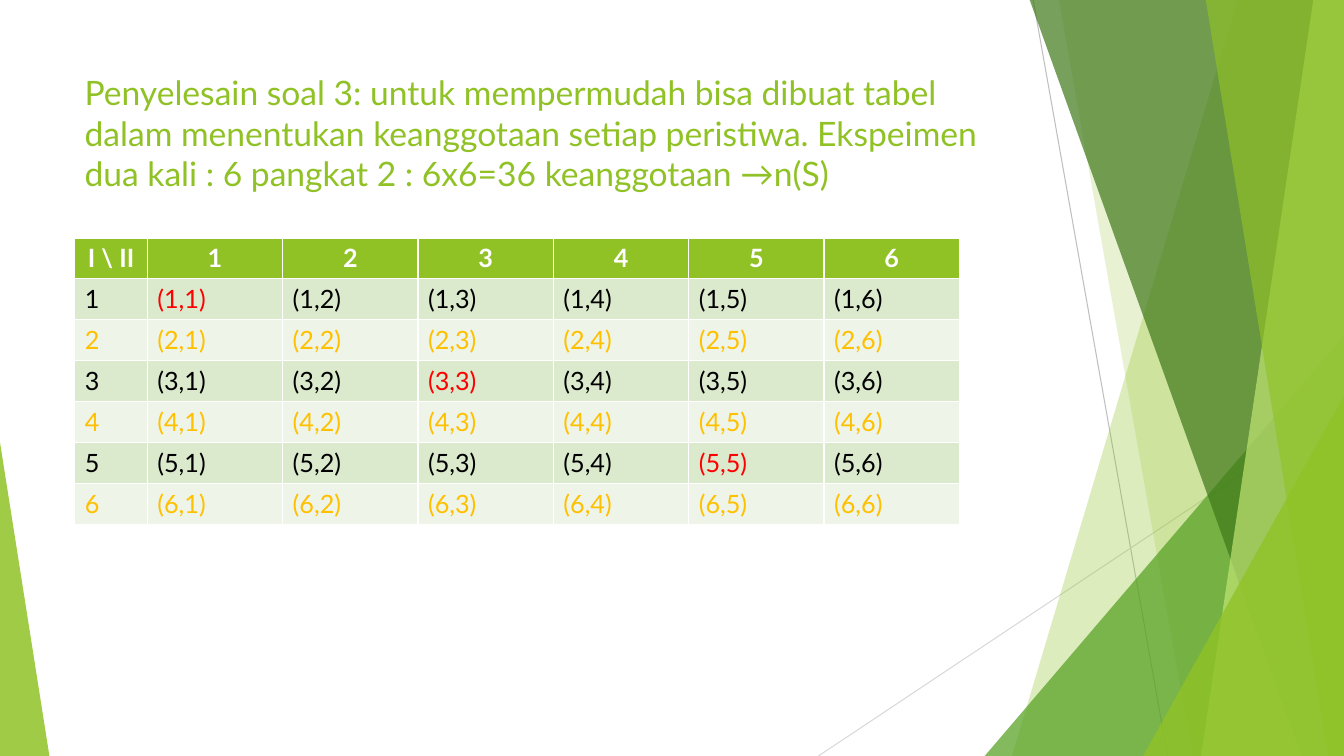
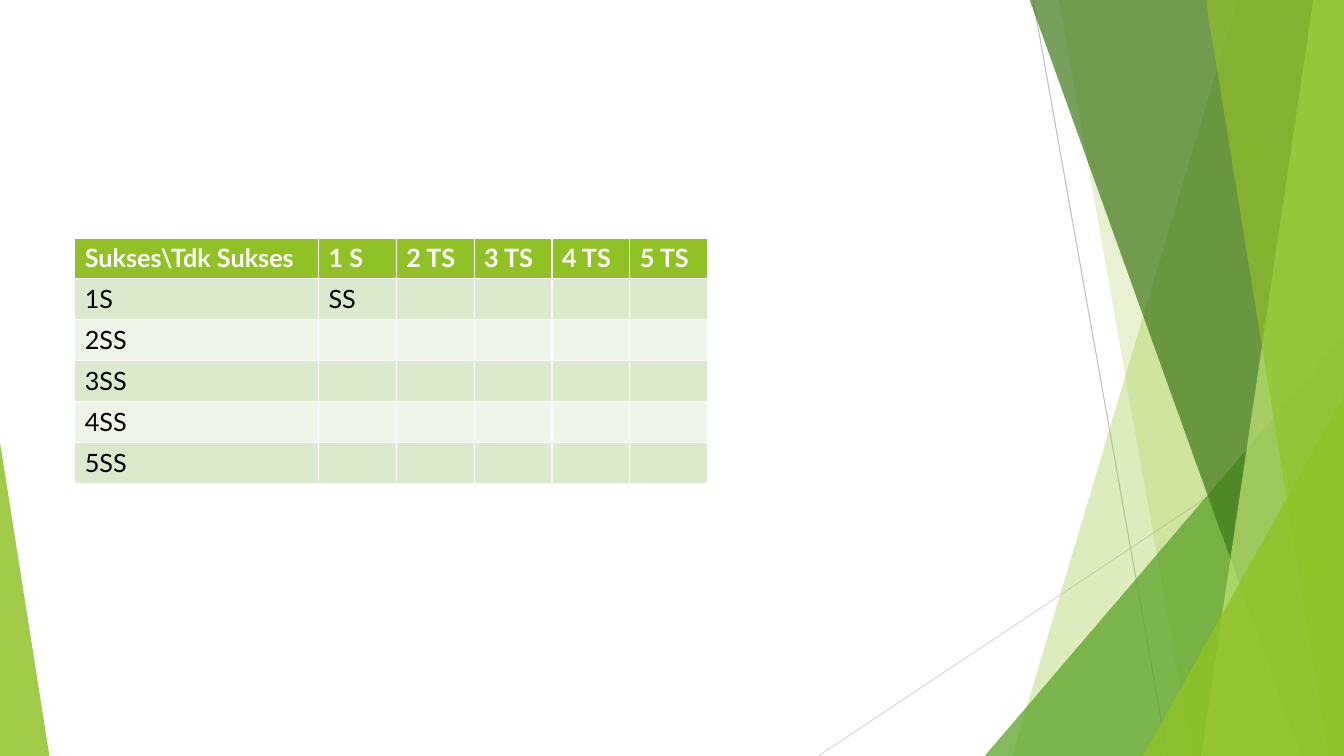
"""Build two slides on dice outcomes and success pairs, with a faceted green frame."""
from lxml.etree import SubElement
from pptx import Presentation
from pptx.dml.color import RGBColor
from pptx.enum.shapes import MSO_CONNECTOR as Connector, MSO_SHAPE as Shape
from pptx.enum.text import PP_ALIGN as Align
from pptx.oxml.ns import qn
from pptx.util import Pt

LIME = RGBColor(0x90, 0xC2, 0x26)
PALE_LIME = RGBColor(0xC0, 0xE4, 0x74)
GREEN = RGBColor(0x54, 0xA0, 0x21)
DARK_GREEN = RGBColor(0x3F, 0x78, 0x19)
ROW_TINTS = [RGBColor(0xDB, 0xE9, 0xCD), RGBColor(0xEE, 0xF4, 0xE8)]
GREY = RGBColor(0xBF, 0xBF, 0xBF)
LIGHT_GREY = RGBColor(0xD9, 0xD9, 0xD9)
WHITE = RGBColor(0xFF, 0xFF, 0xFF)
BLACK = RGBColor(0x00, 0x00, 0x00)
RED = RGBColor(0xFF, 0x00, 0x00)
AMBER = RGBColor(0xFF, 0xC0, 0x00)

FONT = "Lato"
WIDTH, HEIGHT = 960, 540
BAND_TOP = -0.6
LEFT, TABLE_TOP, ROW_HEIGHT = 53.4, 170, 29.2

RAYS = [(738, 0, 834, HEIGHT, GREY), (WIDTH, 290, 584.6, HEIGHT, LIGHT_GREY)]
# Bands: top x, bottom x. Triangles: left, top, width, apex position.
FACETS = [
    (LIME, 30, (884.2, 722.9)),
    (LIME, 20, (756.3, 851.8)),
    (GREEN, 72, (703.4, 239.8, 256.6, 1)),
    (DARK_GREEN, 70, (735.3, 929.5)),
    (PALE_LIME, 70, (938.2, 858)),
    (LIME, 65, (861.2, 949)),
    (LIME, 80, (816.5, 283, 143.5, 1)),
    (LIME, 85, (0, 316, 35.3, 0)),
]


def add_framed_slide(deck):
    slide = deck.slides.add_slide(deck.slide_layouts[6])
    for x1, y1, x2, y2, color in RAYS:
        ray = slide.shapes.add_connector(Connector.STRAIGHT, Pt(x1), Pt(y1), Pt(x2), Pt(y2))
        ray.line.color.rgb = color
        ray.line.width = Pt(0.75)
        SubElement(ray.element.spPr, qn("a:effectLst"))
    for color, opacity, geometry in FACETS:
        if len(geometry) == 2:
            top_x, bottom_x = geometry
            outline = slide.shapes.build_freeform(Pt(top_x), Pt(BAND_TOP))
            corners = [(WIDTH, BAND_TOP), (WIDTH, HEIGHT), (bottom_x, HEIGHT)]
            outline.add_line_segments([(Pt(x), Pt(y)) for x, y in corners])
            facet = outline.convert_to_shape()
        else:
            left, top, width, apex = geometry
            facet = slide.shapes.add_shape(
                Shape.ISOSCELES_TRIANGLE, Pt(left), Pt(top), Pt(width), Pt(HEIGHT - top))
            facet.adjustments[0] = apex
        facet.shadow.inherit = False
        facet.line.fill.background()
        facet.fill.solid()
        facet.fill.fore_color.rgb = color
        tint = facet.element.spPr.find(qn("a:solidFill")).find(qn("a:srgbClr"))
        SubElement(tint, qn("a:alpha"), val=str(opacity * 1000))
    return slide


def add_grid(slide, rows, widths, header_align, body_color):
    frame = slide.shapes.add_table(
        len(rows), len(widths), Pt(LEFT), Pt(TABLE_TOP),
        Pt(sum(widths)), Pt(ROW_HEIGHT * len(rows)))
    table = frame.table
    for column, width in zip(table.columns, widths):
        column.width = Pt(width)
    for r, texts in enumerate(rows):
        table.rows[r].height = Pt(ROW_HEIGHT)
        for c, text in enumerate(texts):
            cell = table.cell(r, c)
            cell.fill.solid()
            cell.fill.fore_color.rgb = ROW_TINTS[(r - 1) % 2] if r else LIME
            if not text:
                continue
            para = cell.text_frame.paragraphs[0]
            para.alignment = Align.LEFT if r else header_align
            span = para.add_run()
            span.text = text
            span.font.name = FONT
            span.font.size = Pt(18)
            span.font.bold = r == 0
            span.font.color.rgb = body_color(r, c) if r else WHITE


deck = Presentation()
deck.slide_width, deck.slide_height = Pt(WIDTH), Pt(HEIGHT)

dice_slide = add_framed_slide(deck)
title = dice_slide.shapes.add_textbox(Pt(LEFT), Pt(48), Pt(676.8), Pt(104))
title.text_frame.word_wrap = True
span = title.text_frame.paragraphs[0].add_run()
span.text = (
    "Penyelesain soal 3: untuk mempermudah bisa dibuat tabel dalam menentukan "
    "keanggotaan setiap peristiwa. Ekspeimen dua kali : 6 pangkat 2 : "
    "6x6=36 keanggotaan →n(S)")
span.font.name = FONT
span.font.size = Pt(24)
span.font.color.rgb = LIME

faces = range(1, 7)
dice_rows = [["I \\ II"] + [str(face) for face in faces]]
for first in faces:
    dice_rows.append([str(first)] + [f"({first},{second})" for second in faces])
add_grid(
    dice_slide, dice_rows, [51.8] + [96.7] * 6, Align.CENTER,
    lambda r, c: AMBER if r % 2 == 0 else RED if r == c else BLACK)

success_slide = add_framed_slide(deck)
success_rows = [
    ["Sukses\\Tdk Sukses", "1 S"] + [f"{n} TS" for n in range(2, 6)],
    ["1S", "SS"] + [""] * 4,
]
success_rows += [[f"{n}SS"] + [""] * 5 for n in range(2, 6)]
add_grid(
    success_slide, success_rows, [174.1] + [55.6] * 5, Align.LEFT,
    lambda r, c: BLACK)

deck.save("out.pptx")
